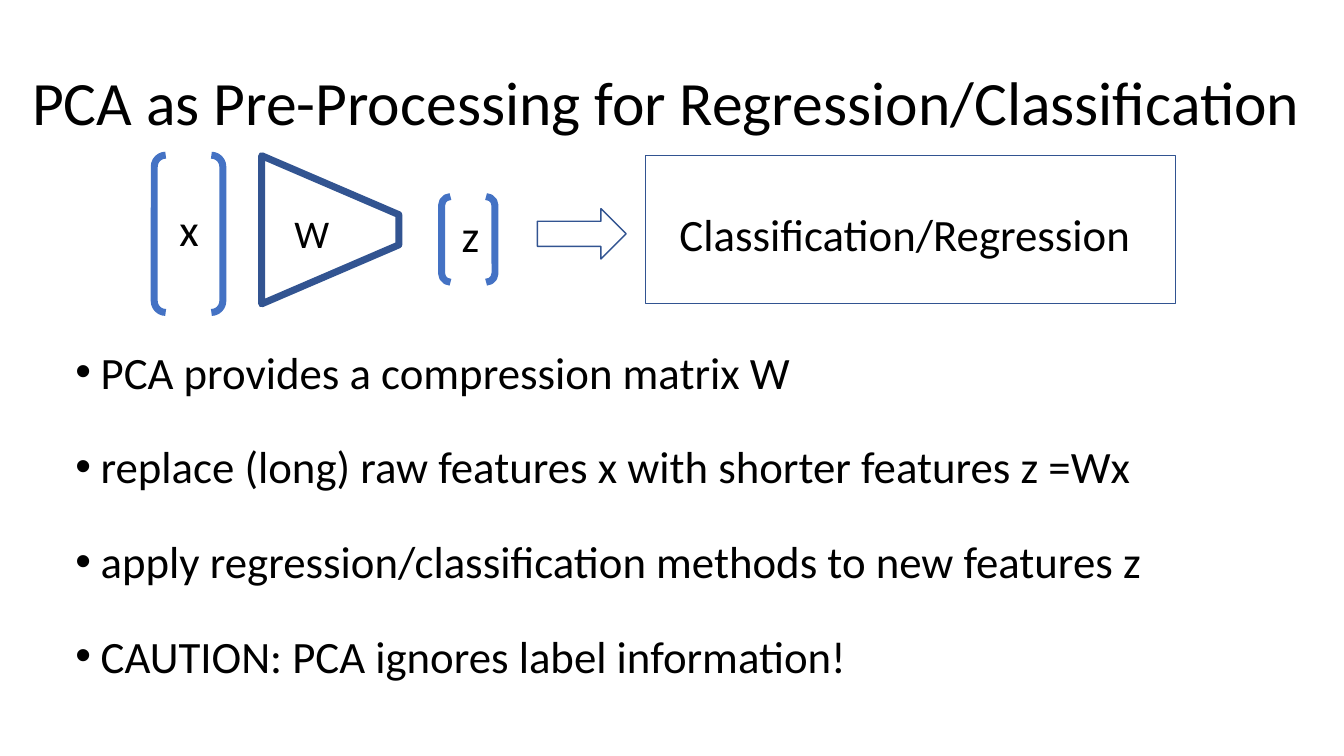
import lxml.etree
import pptx
import pptx.dml.color
import pptx.enum.shapes
import pptx.enum.text
import pptx.oxml.ns
import pptx.util

EMU_PER_PX = 9144  # 100 px to the inch
FONT = "Calibri"
COLOURS = {"text": "000000", "outline": "325491", "bracket": "4472C4"}
SHAPES = pptx.enum.shapes.MSO_SHAPE
ANCHOR = pptx.enum.text.MSO_ANCHOR

BULLETS = [
    "PCA provides a compression matrix W",
    "replace (long) raw features x with shorter features z =Wx",
    "apply regression/classification methods to new features z",
    "CAUTION: PCA ignores label information!",
]


def px(length):
    return pptx.util.Emu(length * EMU_PER_PX)


def colour(name):
    return pptx.dml.color.RGBColor.from_string(COLOURS[name])


def add_run(paragraph, text, size):
    run = paragraph.add_run()
    run.text = text
    run.font.name = FONT
    run.font.size = pptx.util.Pt(size)
    run.font.color.rgb = colour("text")


def add_text_frame(slide, box, wrap=True, anchor=ANCHOR.TOP):
    frame = slide.shapes.add_textbox(*map(px, box)).text_frame
    frame.word_wrap = wrap
    frame.vertical_anchor = anchor
    return frame


def add_title(slide, box, text):
    paragraph = add_text_frame(slide, box, anchor=ANCHOR.MIDDLE).paragraphs[0]
    paragraph.line_spacing = 0.9
    add_run(paragraph, text, 44)


def add_label(slide, box, text, size=32):
    frame = add_text_frame(slide, box, wrap=False)
    add_run(frame.paragraphs[0], text, size)


def add_outline(slide, kind, box, line_colour, width):
    shape = slide.shapes.add_shape(kind, *map(px, box))
    shape.shadow.inherit = False
    shape.fill.background()
    shape.line.color.rgb = colour(line_colour)
    shape.line.width = pptx.util.Pt(width)
    return shape


def add_bullets(slide, box, items):
    frame = add_text_frame(slide, box)
    for index, item in enumerate(items):
        paragraph = frame.add_paragraph() if index else frame.paragraphs[0]
        paragraph.line_spacing = 1.5
        paragraph.space_before = pptx.util.Pt(10)
        properties = paragraph._p.get_or_add_pPr()
        properties.set("marL", str(px(25)))
        properties.set("indent", str(px(-25)))
        for tag, attribute, value in (("a:buFont", "typeface", "Arial"),
                                      ("a:buChar", "char", "•")):
            element = lxml.etree.SubElement(properties, pptx.oxml.ns.qn(tag))
            element.set(attribute, value)
        add_run(paragraph, item, 32)


def main():
    presentation = pptx.Presentation()
    presentation.slide_width = px(1333)
    presentation.slide_height = px(750)
    slide = presentation.slides.add_slide(presentation.slide_layouts[6])

    # Title and bullet list
    add_title(slide, (22, 32, 1290, 145),
              "PCA as Pre-Processing for Regression/Classification")
    add_bullets(slide, (65, 310, 1150, 440), BULLETS)

    # Compression matrix W
    matrix = add_outline(slide, SHAPES.TRAPEZOID, (254, 160, 147, 136), "outline", 5)
    matrix.rotation = 90
    matrix.adjustments[0] = 0.43
    add_label(slide, (282, 203, 55, 57), "W", 28)

    # Feature vectors x and z
    for bracket_box, label_box, name in (
            ((153, 154, 68, 156), (168, 195, 40, 64), "x"),
            ((438, 195, 53, 85), (448, 201, 38, 64), "z")):
        add_outline(slide, SHAPES.DOUBLE_BRACKET, bracket_box, "bracket", 5)
        add_label(slide, label_box, name)

    # Arrow into the prediction stage
    add_outline(slide, SHAPES.RIGHT_ARROW, (533, 207, 88, 50), "outline", 1)
    add_outline(slide, SHAPES.RECTANGLE, (640, 154, 526, 147), "outline", 1)
    add_label(slide, (664, 200, 472, 64), "Classification/Regression")

    presentation.save("out.pptx")


if __name__ == "__main__":
    main()
